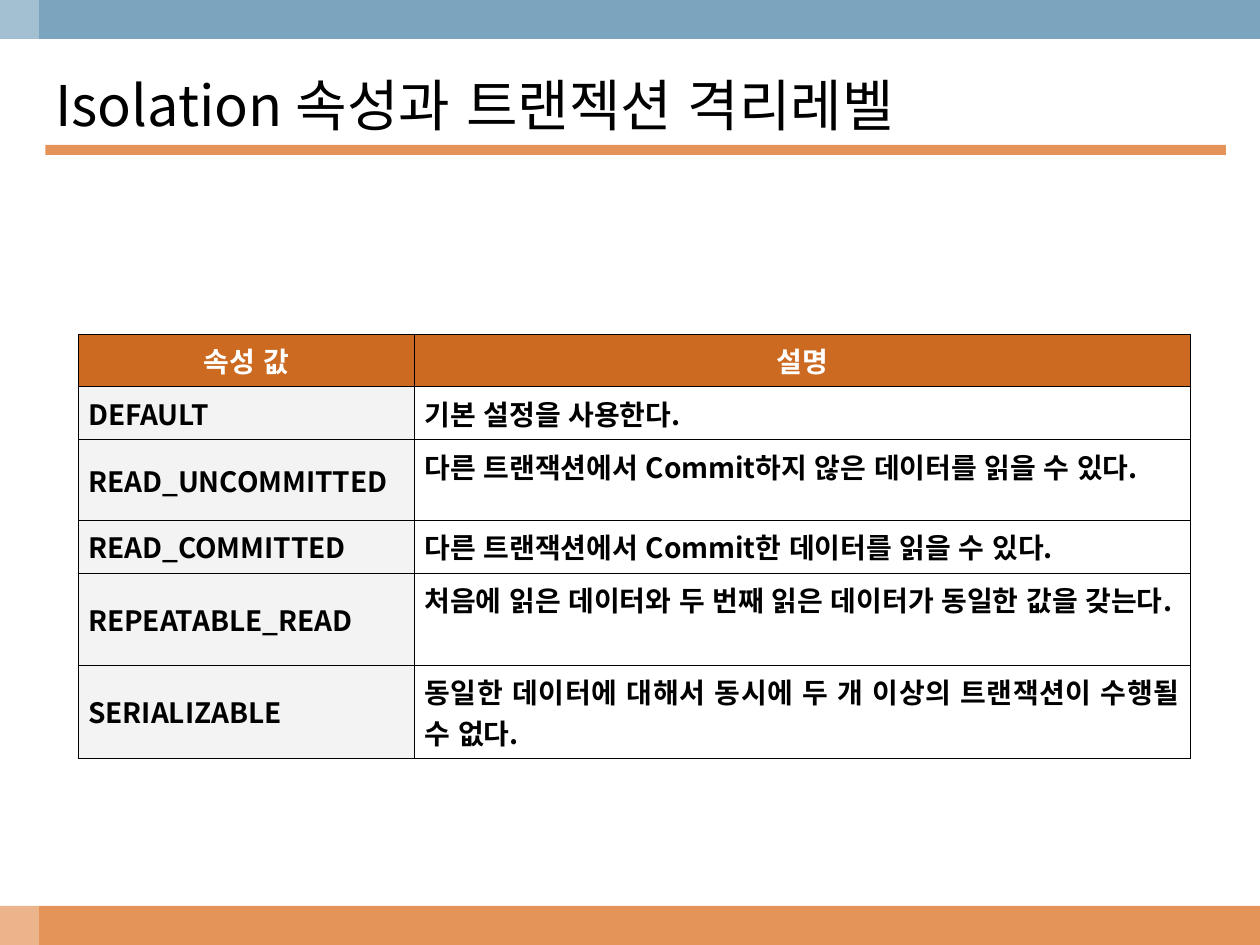
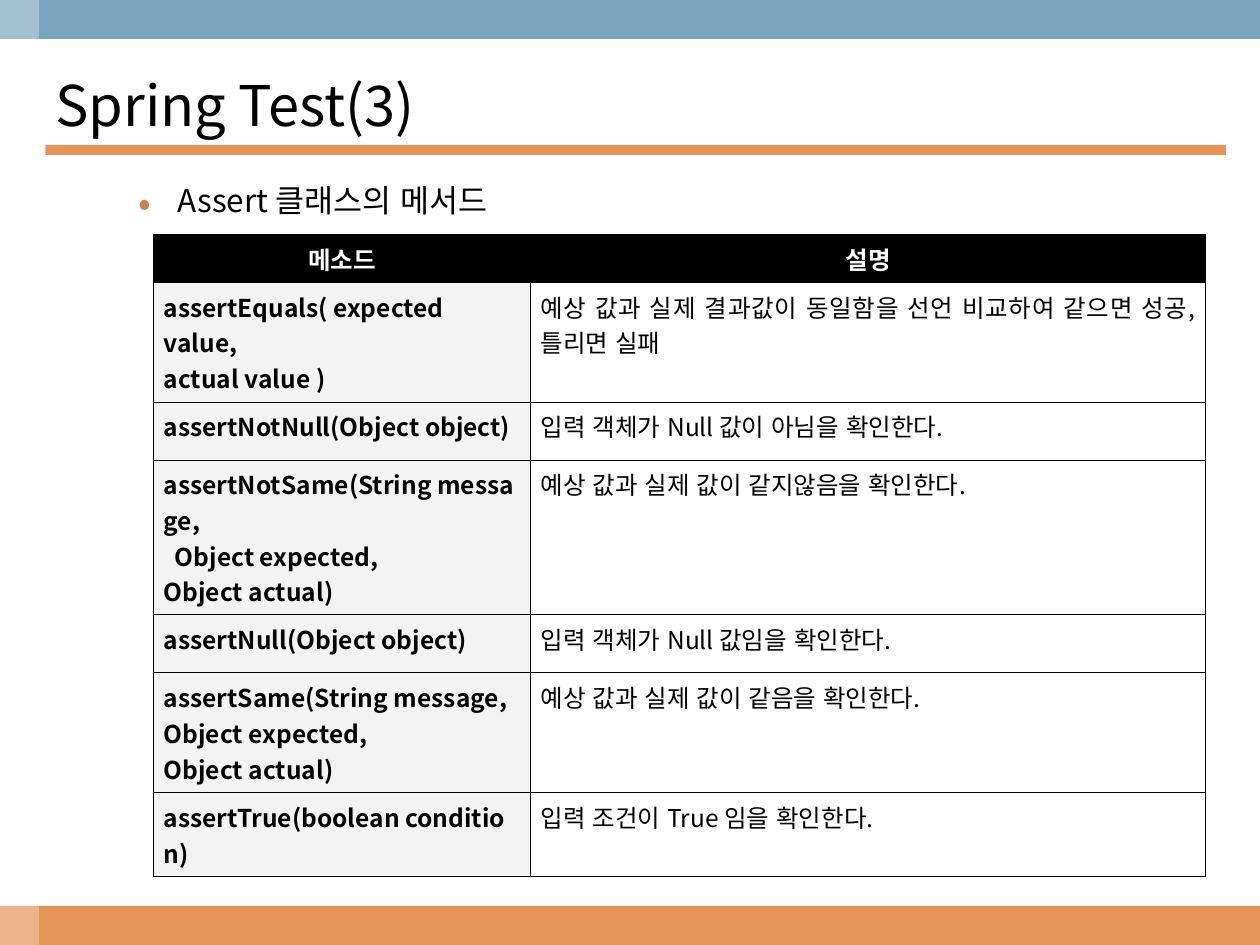
from lxml import etree
from pptx import Presentation
from pptx.dml.color import RGBColor
from pptx.enum.lang import MSO_LANGUAGE_ID
from pptx.enum.shapes import MSO_SHAPE
from pptx.enum.text import MSO_ANCHOR, PP_ALIGN
from pptx.oxml.ns import qn
from pptx.util import Inches, Pt

RECTANGLE = MSO_SHAPE.RECTANGLE
TOP, MIDDLE = MSO_ANCHOR.TOP, MSO_ANCHOR.MIDDLE
LEFT, CENTER, JUSTIFY = PP_ALIGN.LEFT, PP_ALIGN.CENTER, PP_ALIGN.JUSTIFY
KOREAN = MSO_LANGUAGE_ID.KOREAN

FONT = "Noto Sans CJK KR"
WIDTH, HEIGHT, BAND = 10, 7.5, 0.31
HARD_SPACE = chr(160)
COLORS = {
    "black": "000000",
    "white": "FFFFFF",
    "orange": "E49458",
    "blue": "7BA5BE",
    "bullet": "C9824C",
    "rust": "CC6A21",
    "label": "F3F3F3",
}

ISOLATION_ROWS = [
    ("속성 값", "설명"),
    ("DEFAULT", "기본 설정을 사용한다."),
    ("READ_UNCOMMITTED", "다른 트랜잭션에서 Commit하지 않은 데이터를 읽을 수 있다."),
    ("READ_COMMITTED", "다른 트랜잭션에서 Commit한 데이터를 읽을 수 있다."),
    ("REPEATABLE_READ", "처음에 읽은 데이터와 두 번째 읽은 데이터가 동일한 값을 갖는다."),
    ("SERIALIZABLE", "동일한 데이터에 대해서 동시에 두 개 이상의 트랜잭션이 수행될 수 없다."),
]
ASSERT_ROWS = [
    ("메소드", "설명"),
    ("assertEquals( expected value,\nactual value )",
     "예상 값과 실제 결과값이 동일함을 선언 비교하여 같으면 성공, 틀리면 실패"),
    ("assertNotNull(Object object)", "입력 객체가 Null 값이 아님을 확인한다."),
    ("assertNotSame(String message,\n  Object expected,\nObject actual)",
     "예상 값과 실제 값이 같지않음을 확인한다."),
    ("assertNull(Object object)", "입력 객체가 Null 값임을 확인한다."),
    ("assertSame(String message,\nObject expected,\nObject actual)",
     "예상 값과 실제 값이 같음을 확인한다."),
    ("assertTrue(boolean condition)", "입력 조건이 True 임을 확인한다."),
]


def color(name):
    return RGBColor.from_string(COLORS[name])


def add_element(parent, tag, **attributes):
    return etree.SubElement(parent, qn(tag), attributes)


def join_arguments(signature):
    """Keep each argument on the line of its type or bracket."""
    for lead in ("Object", "String", "boolean", "("):
        signature = signature.replace(lead + " ", lead + HARD_SPACE)
    return signature


class Deck:
    """Holds the shared style and the current slide."""

    def __init__(self):
        self.presentation = Presentation()
        self.presentation.slide_width = Inches(WIDTH)
        self.presentation.slide_height = Inches(HEIGHT)
        self.slide = None

    def new_slide(self, title):
        self.slide = self.presentation.slides.add_slide(self.presentation.slide_layouts[6])
        # Bands, pale left strip and title rule
        self.bar(0, HEIGHT - BAND, WIDTH, BAND, "orange")
        self.bar(0, 0, WIDTH, BAND, "blue")
        self.bar(0, 0, BAND, HEIGHT, "white", opacity=30)
        self.bar(0.36, 1.15, 9.37, 0.08, "orange")
        self.text(0.34, 0.31, 9.36, 1.03, title, 32, anchor=MIDDLE)

    def bar(self, left, top, width, height, fill, opacity=100):
        shape = self.slide.shapes.add_shape(
            RECTANGLE, Inches(left), Inches(top), Inches(width), Inches(height))
        shape.shadow.inherit = False
        shape.line.fill.background()
        shape.fill.solid()
        shape.fill.fore_color.rgb = color(fill)
        if opacity < 100:
            fill_color = shape.fill._xPr.find(qn("a:solidFill"))[0]
            add_element(fill_color, "a:alpha", val=str(opacity * 1000))

    def style(self, paragraph, size, font_color="black", bold=False, align=LEFT):
        paragraph.alignment = align
        font = paragraph.font
        font.size = Pt(size)
        font.bold = bold
        font.language_id = KOREAN
        font.color.rgb = color(font_color)
        font.name = FONT
        add_element(paragraph._p.pPr.find(qn("a:defRPr")), "a:ea", typeface=FONT)

    def text(self, left, top, width, height, words, size, anchor=TOP, bullet=False):
        shape = self.slide.shapes.add_textbox(
            Inches(left), Inches(top), Inches(width), Inches(height))
        frame = shape.text_frame
        frame.word_wrap = True
        frame.vertical_anchor = anchor
        frame.text = words
        paragraph = frame.paragraphs[0]
        if bullet:
            properties = paragraph._p.get_or_add_pPr()
            properties.set("marL", str(Inches(0.81)))
            properties.set("indent", str(Inches(-0.31)))
            bullet_color = add_element(properties, "a:buClr")
            add_element(bullet_color, "a:srgbClr", val=COLORS["bullet"])
            add_element(properties, "a:buSzPct", val="120000")
            add_element(properties, "a:buFont", typeface=FONT)
            add_element(properties, "a:buChar", char="•")
        self.style(paragraph, size)

    def borders(self, cell):
        properties = cell._tc.get_or_add_tcPr()
        for side in ("a:lnL", "a:lnR", "a:lnT", "a:lnB"):
            line = add_element(properties, side, w=str(Pt(0.45)))
            fill = add_element(line, "a:solidFill")
            add_element(fill, "a:srgbClr", val=COLORS["black"])

    def cell(self, cell, words, fill, anchor, **font):
        cell.margin_left = cell.margin_right = Inches(0.08)
        cell.margin_top = cell.margin_bottom = Inches(0.05)
        cell.vertical_anchor = anchor
        self.borders(cell)
        if fill:
            cell.fill.solid()
            cell.fill.fore_color.rgb = color(fill)
        else:
            cell.fill.background()
        cell.text = words
        for paragraph in cell.text_frame.paragraphs:
            self.style(paragraph, **font)

    def table(self, left, top, widths, heights, rows, size, header_fill,
              label_anchor=TOP, bold_description=False):
        table = self.slide.shapes.add_table(
            len(rows), len(widths), Inches(left), Inches(top),
            Inches(sum(widths)), Inches(sum(heights))).table
        table.first_row = table.horz_banding = False
        for column, width in zip(table.columns, widths):
            column.width = Inches(width)
        for row, height in zip(table.rows, heights):
            row.height = Inches(height)
        # Header row, then a label and a description in each row
        for index, words in enumerate(rows[0]):
            self.cell(table.cell(0, index), words, header_fill, TOP,
                      size=size, font_color="white", bold=True, align=CENTER)
        for index, (label, description) in enumerate(rows[1:], start=1):
            self.cell(table.cell(index, 0), join_arguments(label), "label", label_anchor,
                      size=size, bold=True, align=JUSTIFY)
            self.cell(table.cell(index, 1), description, None, TOP,
                      size=size, bold=bold_description, align=JUSTIFY)


def main():
    deck = Deck()

    # Isolation levels
    deck.new_slide("Isolation 속성과 트랜젝션 격리레벨")
    deck.table(0.62, 2.65, [2.67, 6.16], [0.42, 0.42, 0.64, 0.42, 0.73, 0.74],
               ISOLATION_ROWS, 16, "rust", label_anchor=MIDDLE, bold_description=True)

    # Assert methods
    deck.new_slide("Spring Test(3)")
    deck.text(0.5, 1.39, 9, 4.95, "Assert 클래스의 메서드", 18, bullet=True)
    deck.table(1.22, 1.86, [2.99, 5.36], [0.38, 0.95, 0.46, 1.23, 0.46, 0.95, 0.67],
               ASSERT_ROWS, 14, "black")

    deck.presentation.save("out.pptx")


if __name__ == "__main__":
    main()
